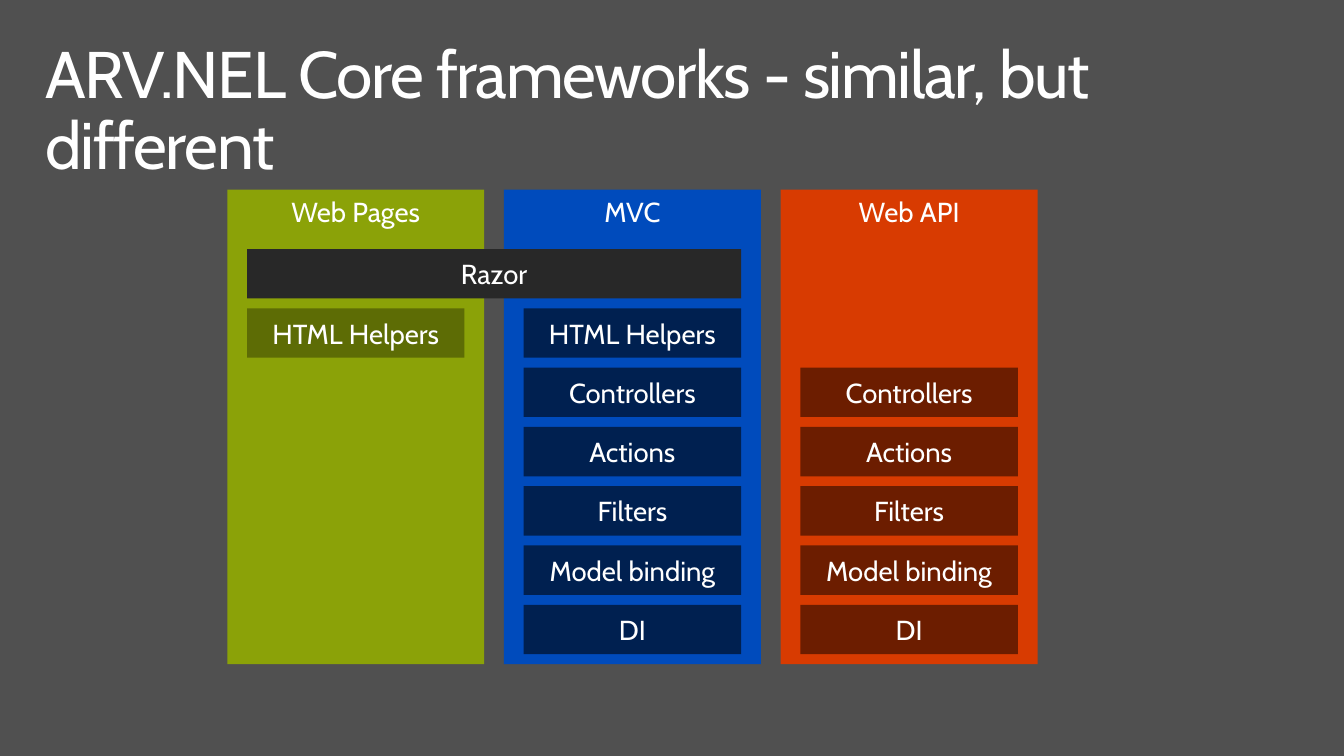
from dataclasses import dataclass

from pptx import Presentation
from pptx.dml.color import RGBColor
from pptx.enum.shapes import MSO_SHAPE
from pptx.enum.text import MSO_ANCHOR, MSO_AUTO_SIZE, PP_ALIGN
from pptx.util import Inches, Pt

RECTANGLE = MSO_SHAPE.RECTANGLE
TOP, MIDDLE = MSO_ANCHOR.TOP, MSO_ANCHOR.MIDDLE
LEFT, CENTER = PP_ALIGN.LEFT, PP_ALIGN.CENTER
NO_AUTOFIT = MSO_AUTO_SIZE.NONE
TITLE_ONLY = 5


@dataclass(frozen=True)
class Theme:
    font: str = "Cabin"
    title_size: int = 48
    label_size: int = 20
    background: str = "505050"
    text: str = "FFFFFF"
    shared: str = "282828"
    web_pages: tuple = ("8BA208", "5D6C05")
    mvc: tuple = ("004BBC", "002050")
    web_api: tuple = ("D83B01", "6C1D00")


THEME = Theme()

# Column and row grid, in inches
COLUMN_LEFT, COLUMN_TOP = 2.3, 1.92
COLUMN_WIDTH, COLUMN_HEIGHT = 2.6, 4.8
COLUMN_STEP = 2.8
PADDING = 0.2
ROW_TOP, ROW_HEIGHT, ROW_STEP = 2.52, 0.5, 0.6

# Features in row order; row 0 holds the shared Razor bar
FEATURES = ["HTML Helpers", "Controllers", "Actions", "Filters", "Model binding", "DI"]

# Framework name, (column colour, feature colour), supported features
FRAMEWORKS = [
    ("Web Pages", THEME.web_pages, FEATURES[:1]),
    ("MVC", THEME.mvc, FEATURES),
    ("Web API", THEME.web_api, FEATURES[1:]),
]


def format_text(shape, size, alignment, anchor, margins):
    text_frame = shape.text_frame
    text_frame.word_wrap = True
    text_frame.auto_size = NO_AUTOFIT
    text_frame.vertical_anchor = anchor
    side, edge = (Inches(margin) for margin in margins)
    text_frame.margin_left = text_frame.margin_right = side
    text_frame.margin_top = text_frame.margin_bottom = edge
    paragraph = text_frame.paragraphs[0]
    paragraph.alignment = alignment
    font = paragraph.runs[0].font
    font.name = THEME.font
    font.size = Pt(size)
    font.color.rgb = RGBColor.from_string(THEME.text)


def set_title(slide, text):
    title = slide.shapes.title
    title.left, title.top = Inches(0.3), Inches(0.32)
    title.width, title.height = Inches(13), Inches(1)
    title.text_frame.text = text
    format_text(title, THEME.title_size, LEFT, TOP, (0.16, 0.1))
    paragraph = title.text_frame.paragraphs[0]
    paragraph.line_spacing = 0.9
    # Tighten the letters by one point
    paragraph.runs[0].font._element.set("spc", "-100")


def add_block(slide, text, left, top, width, height, color, anchor=MIDDLE):
    block = slide.shapes.add_shape(
        RECTANGLE, Inches(left), Inches(top), Inches(width), Inches(height)
    )
    block.shadow.inherit = False
    block.fill.solid()
    block.fill.fore_color.rgb = RGBColor.from_string(color)
    block.line.fill.background()
    block.text_frame.text = text
    format_text(block, THEME.label_size, CENTER, anchor, (0, 0.05))


def add_bar(slide, text, column, row, color, span=1):
    left = COLUMN_LEFT + column * COLUMN_STEP + PADDING
    width = (span - 1) * COLUMN_STEP + COLUMN_WIDTH - 2 * PADDING
    add_block(slide, text, left, ROW_TOP + row * ROW_STEP, width, ROW_HEIGHT, color)


def main():
    presentation = Presentation()
    presentation.slide_width = Inches(13.6)
    presentation.slide_height = Inches(7.65)
    slide = presentation.slides.add_slide(presentation.slide_layouts[TITLE_ONLY])
    slide.background.fill.solid()
    slide.background.fill.fore_color.rgb = RGBColor.from_string(THEME.background)
    set_title(slide, "ARV.NEL Core frameworks - similar, but different")

    # Framework columns with their features
    for column, (name, (column_color, feature_color), features) in enumerate(FRAMEWORKS):
        left = COLUMN_LEFT + column * COLUMN_STEP
        add_block(slide, name, left, COLUMN_TOP, COLUMN_WIDTH, COLUMN_HEIGHT,
                  column_color, TOP)
        for feature in features:
            row = FEATURES.index(feature) + 1
            add_bar(slide, feature, column, row, feature_color)

    # Bar shared by Web Pages and MVC
    add_bar(slide, "Razor", 0, 0, THEME.shared, span=2)

    presentation.save("out.pptx")


if __name__ == "__main__":
    main()
